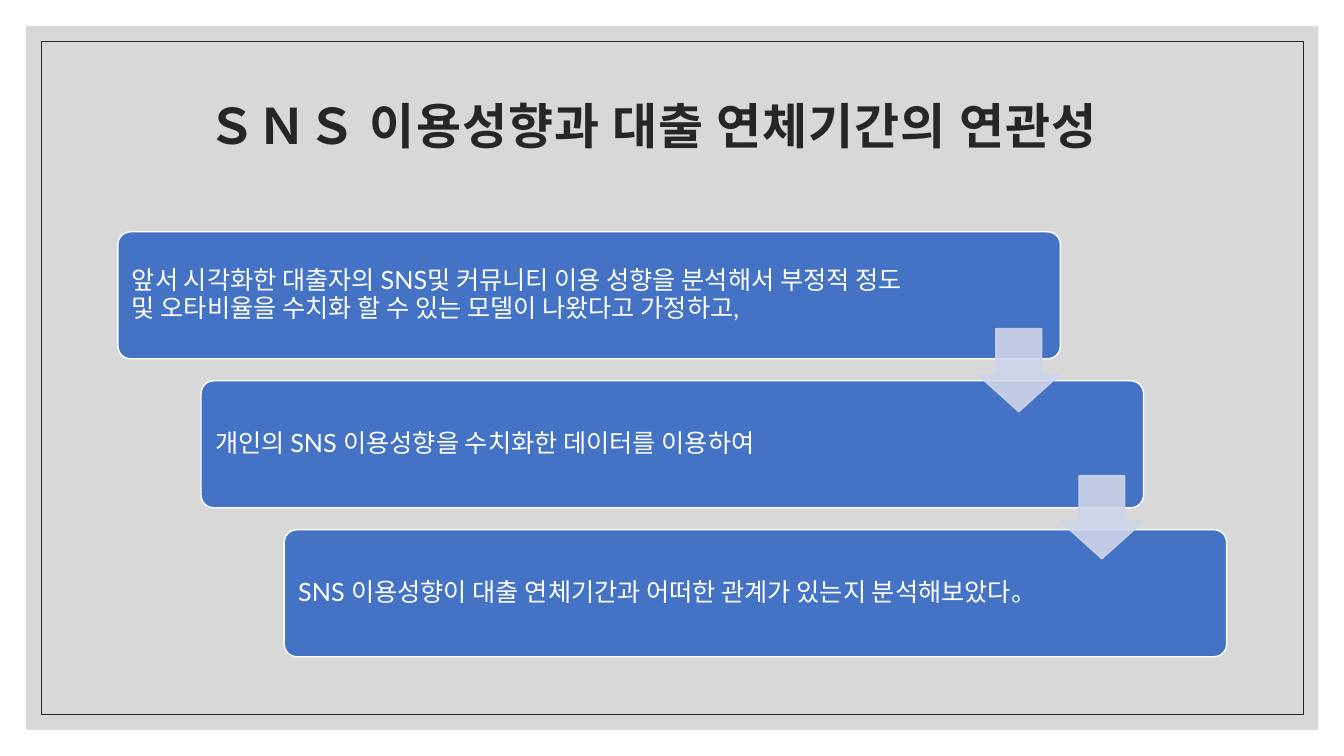
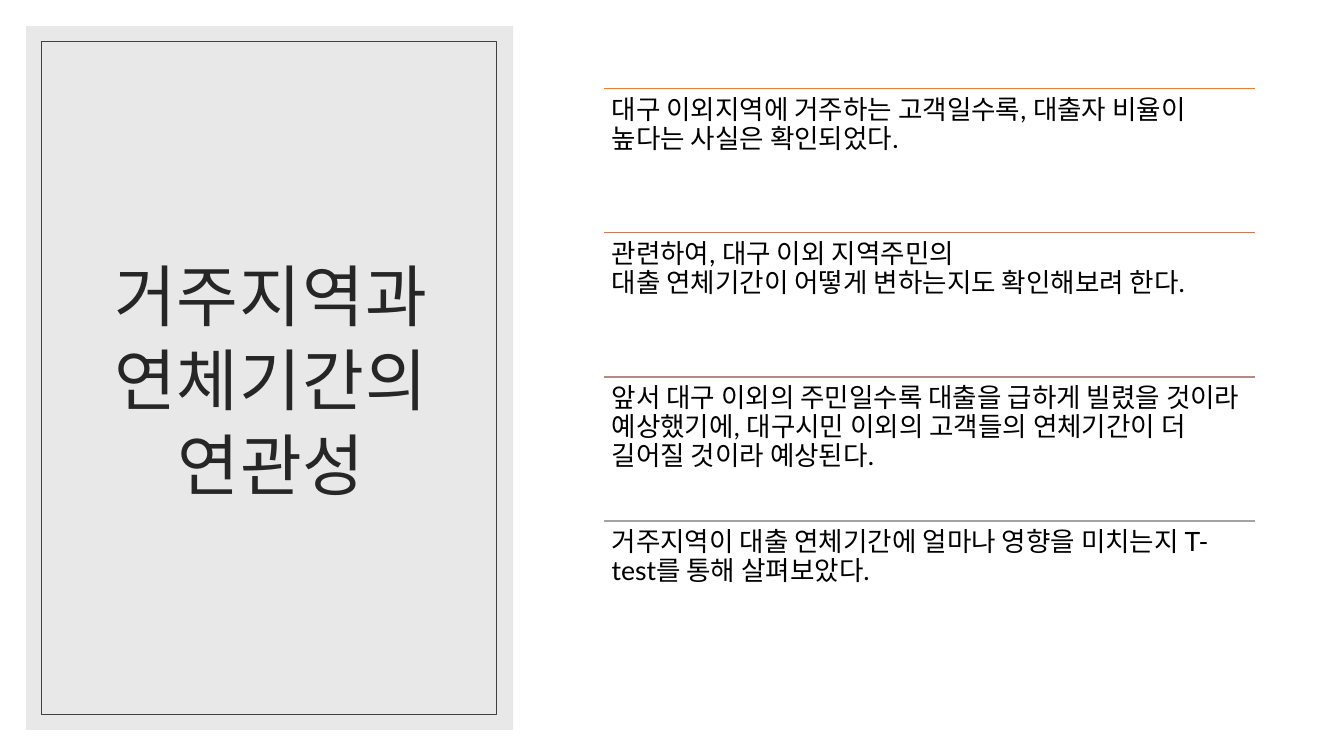
from lxml import etree
from pptx import Presentation
from pptx.dml.color import RGBColor
from pptx.enum import shapes, text
from pptx.oxml import ns
from pptx.util import Pt

FONT, INK, WHITE, BLUE, PALE = "Lato", "262626", "FFFFFF", "4472C4", "CFD5EA"
MARGIN, PANEL_H = 18.7, 502.6
FRAME_INSET = 10.8
TITLE_INSETS = (8.6, 8.6, 8.6, 7.2)  # left, top, right, bottom

STEPS_TITLE = "ＳＮＳ 이용성향과 대출 연체기간의 연관성"
STEPS = [
    "앞서 시각화한 대출자의 SNS및 커뮤니티 이용 성향을 분석해서 부정적 정도 및 오타비율을 수치화 할 수 있는 모델이 나왔다고 가정하고,",
    "개인의 SNS 이용성향을 수치화한 데이터를 이용하여",
    "SNS 이용성향이 대출 연체기간과 어떠한 관계가 있는지 분석해보았다。",
]
REGION_TITLE = "거주지역과 연체기간의 연관성"
REGION_POINTS = [  # rule colour, text
    ("ED7D31", "대구 이외지역에 거주하는 고객일수록, 대출자 비율이 높다는 사실은 확인되었다."),
    ("D17A5B", "관련하여, 대구 이외 지역주민의\v대출 연체기간이 어떻게 변하는지도 확인해보려 한다."),
    ("B88881", "앞서 대구 이외의 주민일수록 대출을 급하게 빌렸을 것이라 예상했기에, "
               "대구시민 이외의 고객들의 연체기간이 더 길어질 것이라 예상된다."),
    ("A3A3A3", "거주지역이 대출 연체기간에 얼마나 영향을 미치는지 T-test를 통해 살펴보았다."),
]


def rgb(value):
    return RGBColor.from_string(value)


def set_alpha(fill_parent, percent):
    color = fill_parent.find(ns.qn("a:solidFill"))[0]
    etree.SubElement(color, ns.qn("a:alpha")).set("val", str(percent * 1000))


def add_box(s, kind, box, fill=None, line=None, width=1, alpha=None):
    sp = s.shapes.add_shape(kind, *map(Pt, box))
    sp.shadow.inherit = False
    props = sp.fill._xPr
    if fill:
        sp.fill.solid()
        sp.fill.fore_color.rgb = rgb(fill)
        if alpha:
            set_alpha(props, alpha)
    else:
        sp.fill.background()
    if line:
        sp.line.color.rgb = rgb(line)
        sp.line.width = Pt(width)
        if alpha:
            set_alpha(props.find(ns.qn("a:ln")), alpha)
    else:
        sp.line.fill.background()
    return sp


def write(sp, content, size, color, insets, anchor=text.MSO_ANCHOR.MIDDLE,
          align=text.PP_ALIGN.LEFT, spacing=0.9):
    tf = sp.text_frame
    tf.word_wrap = True
    tf.vertical_anchor = anchor
    tf.margin_left, tf.margin_top, tf.margin_right, tf.margin_bottom = map(Pt, insets)
    p = tf.paragraphs[0]
    p.text = content
    p.alignment = align
    p.line_spacing = spacing
    p.font.name, p.font.size, p.font.color.rgb = FONT, Pt(size), rgb(color)
    return p


def add_panel(s, width, frame_width, fill, line):
    """Draw the translucent panel and the thin frame inside it."""
    rect = shapes.MSO_SHAPE.RECTANGLE
    add_box(s, rect, (MARGIN, MARGIN, width, PANEL_H), fill, alpha=60)
    start = MARGIN + FRAME_INSET
    add_box(s, rect, (start, start, frame_width, PANEL_H - 2 * FRAME_INSET),
            line=line, width=0.5)


def add_title(s, content, box, size, bold=False):
    p = write(s.shapes.add_textbox(*map(Pt, box)), content, size, INK, TITLE_INSETS,
              align=text.PP_ALIGN.CENTER, spacing=1.05)
    p.font.bold = bold
    for r in p.runs:
        r.font._element.set("spc", "70")


def build_steps(s):
    left, top, width, height = 84.2, 165.6, 673.2, 90.7
    shift, pitch, arrow_top, arrow_pitch = 59.4, 106.4, 234.7, 105.1
    add_panel(s, 923, 901.4, "BFBFBF", INK)
    add_title(s, STEPS_TITLE, (84.2, 45, 764, 85), 35, bold=True)
    for i, content in enumerate(STEPS):
        sp = add_box(s, shapes.MSO_SHAPE.ROUNDED_RECTANGLE,
                     (left + i * shift, top + i * pitch, width, height), BLUE, WHITE)
        sp.adjustments[0] = 0.1
        write(sp, content, 18, WHITE, (7.4, 5, 100, 5))
    for i in range(len(STEPS) - 1):
        arrow = add_box(s, shapes.MSO_SHAPE.DOWN_ARROW,
                        (left + width - shift + i * shift, arrow_top + i * arrow_pitch,
                         shift, shift), PALE, PALE, alpha=90)
        arrow.adjustments[0], arrow.adjustments[1] = 0.55, 0.45


def build_region(s):
    left, top, width, pitch = 431.3, 63.2, 465.1, 103
    add_panel(s, 347.8, 324.7, "D9D9D9", "404040")
    add_title(s, REGION_TITLE, (45.4, 43.9, 296.6, 449.3), 48)
    for i, (color, content) in enumerate(REGION_POINTS):
        y = top + i * pitch
        rule = s.shapes.add_connector(shapes.MSO_CONNECTOR.STRAIGHT,
                                      Pt(left), Pt(y), Pt(left + width), Pt(y))
        rule.line.color.rgb = rgb(color)
        rule.line.width = Pt(1)
        etree.SubElement(rule._element.spPr, ns.qn("a:effectLst"))
        sp = s.shapes.add_textbox(Pt(left), Pt(y), Pt(width), Pt(pitch))
        write(sp, content, 19, "000000", (5.7,) * 4, text.MSO_ANCHOR.TOP)


def main():
    prs = Presentation()
    prs.slide_width, prs.slide_height = Pt(960), Pt(540)
    for build in (build_steps, build_region):
        build(prs.slides.add_slide(prs.slide_layouts[6]))
    prs.save("out.pptx")


if __name__ == "__main__":
    main()
